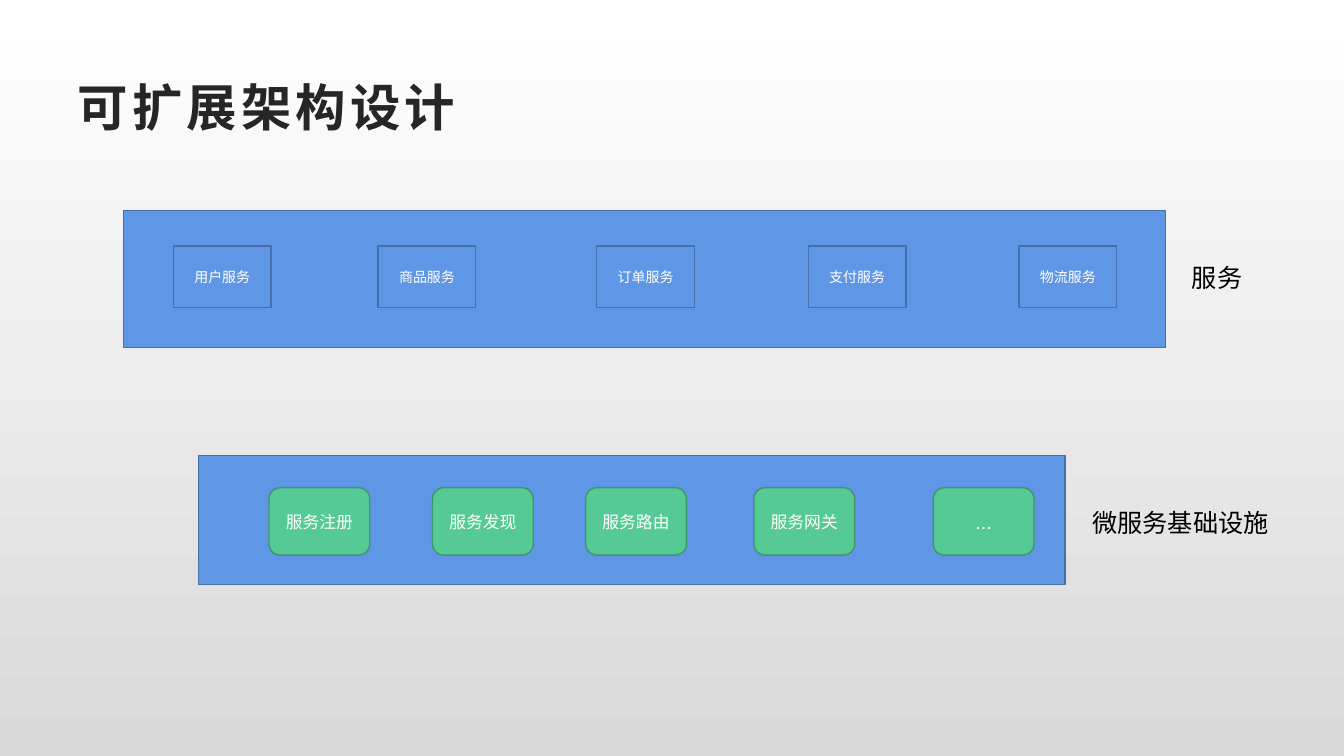
from dataclasses import dataclass

from pptx import Presentation
from pptx.dml.color import RGBColor as Rgb
from pptx.enum.shapes import MSO_SHAPE as Shape
from pptx.enum.text import MSO_ANCHOR as Anchor, MSO_AUTO_SIZE as AutoSize, PP_ALIGN as Align
from pptx.util import Cm, Pt


@dataclass(frozen=True)
class Theme:
    font: str = "Arial"
    sky: str = "FFFFFF"
    ground: str = "D9D9D9"
    ink: str = "262626"
    label: str = "000000"
    light: str = "FFFFFF"
    blue: tuple = ("6096E6", "476FAA")
    green: tuple = ("56CA95", "40956E")
    title_pt: int = 36
    label_pt: int = 18
    dots_pt: int = 14
    component_pt: int = 12
    service_pt: int = 10


class ArchitectureSlide:
    """Slide builder that keeps the theme and the current slide together."""

    def __init__(self, deck, theme):
        self.theme = theme
        self.slide = deck.slides.add_slide(deck.slide_layouts[5])
        self.shapes = self.slide.shapes

    def background(self):
        fill = self.slide.background.fill
        fill.gradient()
        fill.gradient_angle = 270
        for stop, colour in zip(fill.gradient_stops, (self.theme.sky, self.theme.ground)):
            stop.color.rgb = Rgb.from_string(colour)

    def set_text(self, frame, wording, size, colour, align):
        paragraph = frame.paragraphs[0]
        paragraph.alignment = align
        paragraph.add_run().text = wording
        font = paragraph.font
        font.name, font.size = self.theme.font, Pt(size)
        font.color.rgb = Rgb.from_string(colour)
        return paragraph

    def title(self, wording, left, top, width, height):
        heading = self.shapes.title
        heading.left, heading.top = Cm(left), Cm(top)
        heading.width, heading.height = Cm(width), Cm(height)
        frame = heading.text_frame
        frame.auto_size = AutoSize.NONE
        frame.vertical_anchor = Anchor.MIDDLE
        paragraph = self.set_text(frame, wording, self.theme.title_pt, self.theme.ink, Align.LEFT)
        paragraph.font.bold = True
        paragraph.runs[0]._r.get_or_add_rPr().set("spc", "300")

    def box(self, kind, left, top, width, height, colours, parent=None):
        shapes = parent.shapes if parent else self.shapes
        box = shapes.add_shape(kind, Cm(left), Cm(top), Cm(width), Cm(height))
        fill, line = colours
        box.shadow.inherit = False
        box.fill.solid()
        box.fill.fore_color.rgb = Rgb.from_string(fill)
        box.line.color.rgb = Rgb.from_string(line)
        box.line.width = Pt(1)
        return box

    def chip(self, wording, size, *geometry):
        frame = self.box(*geometry).text_frame
        frame.word_wrap = True
        frame.vertical_anchor = Anchor.MIDDLE
        self.set_text(frame, wording, size, self.theme.light, Align.CENTER)

    def label(self, wording, left, top, width, height):
        frame = self.shapes.add_textbox(Cm(left), Cm(top), Cm(width), Cm(height)).text_frame
        frame.word_wrap = False
        frame.auto_size = AutoSize.SHAPE_TO_FIT_TEXT
        self.set_text(frame, wording, self.theme.label_pt, self.theme.label, Align.LEFT)


def main():
    deck = Presentation()
    deck.slide_width, deck.slide_height = Cm(33.87), Cm(19.05)
    theme = Theme()
    page = ArchitectureSlide(deck, theme)
    page.background()
    page.title("可扩展架构设计", 1.7, 1.7, 30.48, 1.96)

    page.box(Shape.RECTANGLE, 5, 11.48, 21.84, 3.25, theme.blue)
    page.box(Shape.RECTANGLE, 3.12, 5.31, 26.26, 3.45, theme.blue)

    components = {"服务注册": 6.78, "服务发现": 10.9, "服务路由": 14.76, "服务网关": 19, "...": 23.52}
    for component, left in components.items():
        size = theme.dots_pt if component == "..." else theme.component_pt
        page.chip(component, size, Shape.FLOWCHART_ALTERNATE_PROCESS,
                  left, 12.29, 2.54, 1.7, theme.green)

    services = {"用户服务": 4.37, "商品服务": 9.53, "订单服务": 15.04, "支付服务": 20.37, "物流服务": 25.68}
    service_group = page.shapes.add_group_shape()
    for service, left in services.items():
        page.chip(service, theme.service_pt, Shape.RECTANGLE,
                  left, 6.2, 2.46, 1.55, theme.blue, service_group)

    page.label("服务", 29.79, 6.48, 1.78, 1.02)
    page.label("微服务基础设施", 27.28, 12.65, 4.95, 1.02)
    deck.save("out.pptx")


if __name__ == "__main__":
    main()
